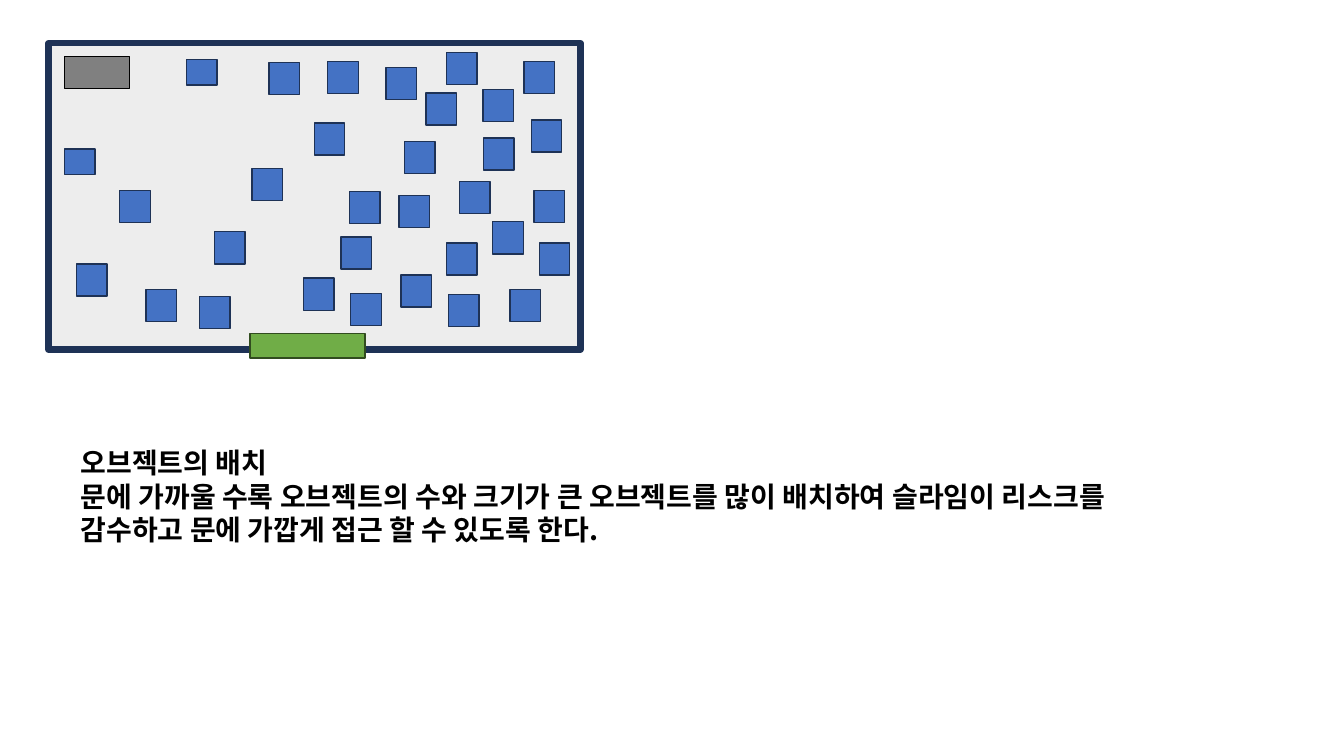
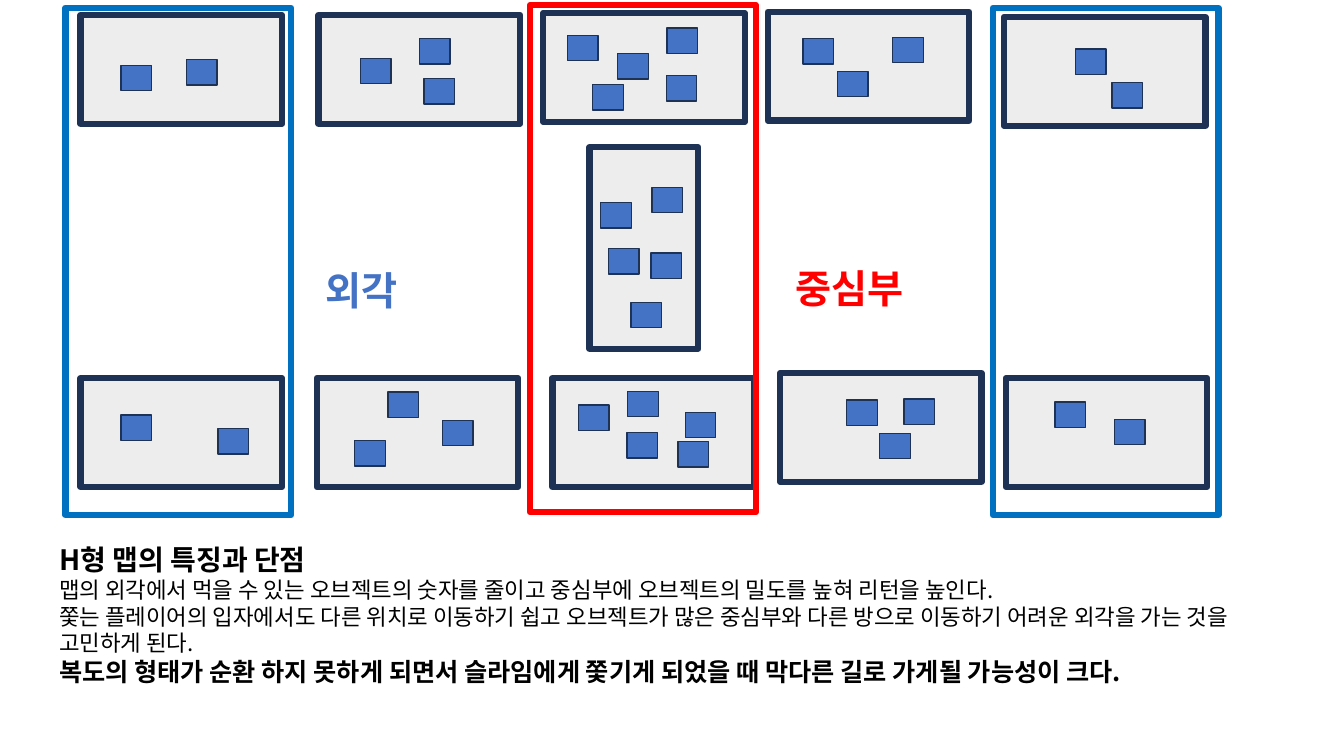
from lxml import etree
from pptx import Presentation
from pptx import util as u
from pptx.dml import color
from pptx.enum import shapes, text
from pptx.oxml import ns

FONT = "Noto Sans CJK KR"
NAVY, BLUE, FLOOR = "1E3256", "4472C4", "EDEDED"
BLACK, GRAY, RED, SKY = "000000", "808080", "FF0000", "0070C0"
GREEN, DARK_GREEN = "70AD47", "314C1F"
THICK, THIN = 4.5, 1

TALL_OBJECT = (0.77, 0.81)
FLAT_OBJECT = (0.77, 0.64)
ROOM = (5.28 / 1.04, 2.74)
CORRIDOR = ROOM[::-1]
ZONE = (5.69, 12.78)

HALL = (1.22, 1.09, 13.41, 7.72)
DOOR = (6.3, 8.41, 2.9, 0.61)
START = (1.63, 1.42, 1.63, 0.81)
HALL_FLAT_OBJECTS = [(4.7, 1.5), (1.63, 3.76)]
HALL_TALL_OBJECTS = [
    (6.78, 1.57), (3.02, 4.8), (1.93, 6.65), (6.35, 4.24), (5.41, 5.84),
    (8.26, 1.55), (9.73, 1.7), (10.19, 3.56), (10.74, 2.34), (12.19, 3.48),
    (10.06, 4.93), (11.25, 6.12), (10.11, 6.93), (12.42, 5.59), (13.39, 3.02),
    (12.17, 2.26), (13.46, 4.8), (12.85, 7.29), (13.59, 6.12), (3.68, 7.29),
    (7.65, 7.01), (8.59, 5.97), (8.81, 4.83), (7.92, 3.1), (13.21, 1.55),
    (11.25, 1.32), (11.58, 4.57), (11.3, 7.42), (8.84, 7.39), (5.03, 7.47),
]
PLACEMENT_TEXT = [
    ("오브젝트의 배치", 20, True),
    ("문에 가까울 수록 오브젝트의 수와 크기가 큰 오브젝트를 많이 배치하여 슬라임이 리스크를", 20, True),
    ("감수하고 문에 가깝게 접근 할 수 있도록 한다.", 20, True),
]

MAP_ROOMS = [
    ((2.03, 0.38), ROOM, [(4.7, 1.5), (3.05, 1.65)]),
    ((8.03, 0.38), ROOM, [(9.09, 1.47), (10.69, 1.98), (10.57, 0.97)]),
    ((13.69, 0.33), ROOM,
     [(16.81, 0.71), (14.3, 0.89), (14.94, 2.13), (15.57, 1.35), (16.79, 1.91)]),
    ((19.35, 0.3), ROOM, [(20.24, 0.97), (22.5, 0.94), (21.11, 1.8)]),
    ((25.3, 0.43), ROOM, [(27.1, 1.24), (28.02, 2.08)]),
    ((14.86, 3.71), CORRIDOR,
     [(15.14, 5.11), (15.34, 6.27), (16.43, 4.72), (16.41, 6.38), (15.9, 7.62)]),
    ((2.03, 9.53), ROOM, [(3.05, 10.46), (5.49, 10.8)]),
    ((7.98, 9.53), ROOM, [(9.78, 9.88), (11.15, 10.59), (8.94, 11.1)]),
    ((13.92, 9.53), ROOM,
     [(14.58, 10.21), (15.82, 9.86), (15.8, 10.9), (17.27, 10.39), (17.09, 11.13)]),
    ((19.66, 9.4), ROOM, [(21.34, 10.08), (22.78, 10.06), (22.17, 10.92)]),
    ((25.35, 9.53), ROOM, [(26.59, 10.13), (28.09, 10.57)]),
]
ZONES = [((13.36, 0.13), RED), ((1.65, 0.2), SKY), ((25.02, 0.2), SKY)]
ZONE_LABELS = [
    ("중심부", (19.66, 6.53, 3.51, 1.45), RED),
    ("외각", (7.85, 6.58, 2.51, 1.45), BLUE),
]
MAP_TEXT = [
    ("H형 맵의 특징과 단점", 20, True),
    ("맵의 외각에서 먹을 수 있는 오브젝트의 숫자를 줄이고 중심부에 오브젝트의 밀도를 높혀 리턴을 높인다.", 16, False),
    ("쫓는 플레이어의 입자에서도 다른 위치로 이동하기 쉽고 오브젝트가 많은 중심부와 다른 방으로 "
     "이동하기 어려운 외각을 가는 것을 고민하게 된다.", 16, False),
    ("복도의 형태가 순환 하지 못하게 되면서 슬라임에게 쫓기게 되었을 때 막다른 길로 가게될 가능성이 크다.", 18, True),
]


def rgb(value):
    return color.RGBColor.from_string(value)


def add_box(slide, box, fill=None, line=NAVY, width=THIN):
    shape = slide.shapes.add_shape(
        shapes.MSO_SHAPE.RECTANGLE, *(u.Cm(length) for length in box))
    shape.shadow.inherit = False
    if fill:
        shape.fill.solid()
        shape.fill.fore_color.rgb = rgb(fill)
    else:
        shape.fill.background()
    shape.line.color.rgb = rgb(line)
    shape.line.width = u.Pt(width)


def add_objects(slide, positions, size):
    for position in positions:
        add_box(slide, position + size, BLUE)


def add_text(slide, lines, box, ink=BLACK, align=text.PP_ALIGN.LEFT, wrap=True):
    shape = slide.shapes.add_textbox(*(u.Cm(length) for length in box))
    frame = shape.text_frame
    frame.word_wrap = wrap
    frame.auto_size = text.MSO_AUTO_SIZE.SHAPE_TO_FIT_TEXT
    for index, (words, size, bold) in enumerate(lines):
        paragraph = frame.add_paragraph() if index else frame.paragraphs[0]
        paragraph.alignment = align
        run = paragraph.add_run()
        run.text = words
        run.font.name = FONT
        run.font.size = u.Pt(size)
        run.font.bold = bold
        run.font.color.rgb = rgb(ink)
        etree.SubElement(run.font._element, ns.qn("a:ea"), typeface=FONT)


def build_placement_slide(slide):
    add_box(slide, HALL, FLOOR, width=THICK)
    add_text(slide, PLACEMENT_TEXT, (1.78, 11.1, 30.3, 2.82))
    add_box(slide, DOOR, GREEN, DARK_GREEN)
    add_box(slide, START, GRAY, BLACK)
    add_objects(slide, HALL_FLAT_OBJECTS, FLAT_OBJECT)
    add_objects(slide, HALL_TALL_OBJECTS, TALL_OBJECT)


def build_map_slide(slide):
    add_text(slide, MAP_TEXT, (1.24, 13.54, 31.34, 3.94))
    for position, size, _ in MAP_ROOMS:
        add_box(slide, position + size, FLOOR, width=THICK)
    for position, line in ZONES:
        add_box(slide, position + ZONE, line=line, width=THICK)
    for words, box, ink in ZONE_LABELS:
        add_text(slide, [(words, 28, True)], box, ink=ink,
                 align=text.PP_ALIGN.CENTER, wrap=False)
    for _, _, positions in MAP_ROOMS:
        add_objects(slide, positions, FLAT_OBJECT)


def main():
    presentation = Presentation()
    presentation.slide_width = u.Cm(33.87)
    presentation.slide_height = u.Cm(19.05)
    for build in (build_placement_slide, build_map_slide):
        build(presentation.slides.add_slide(presentation.slide_layouts[6]))
    presentation.save("out.pptx")


if __name__ == "__main__":
    main()
